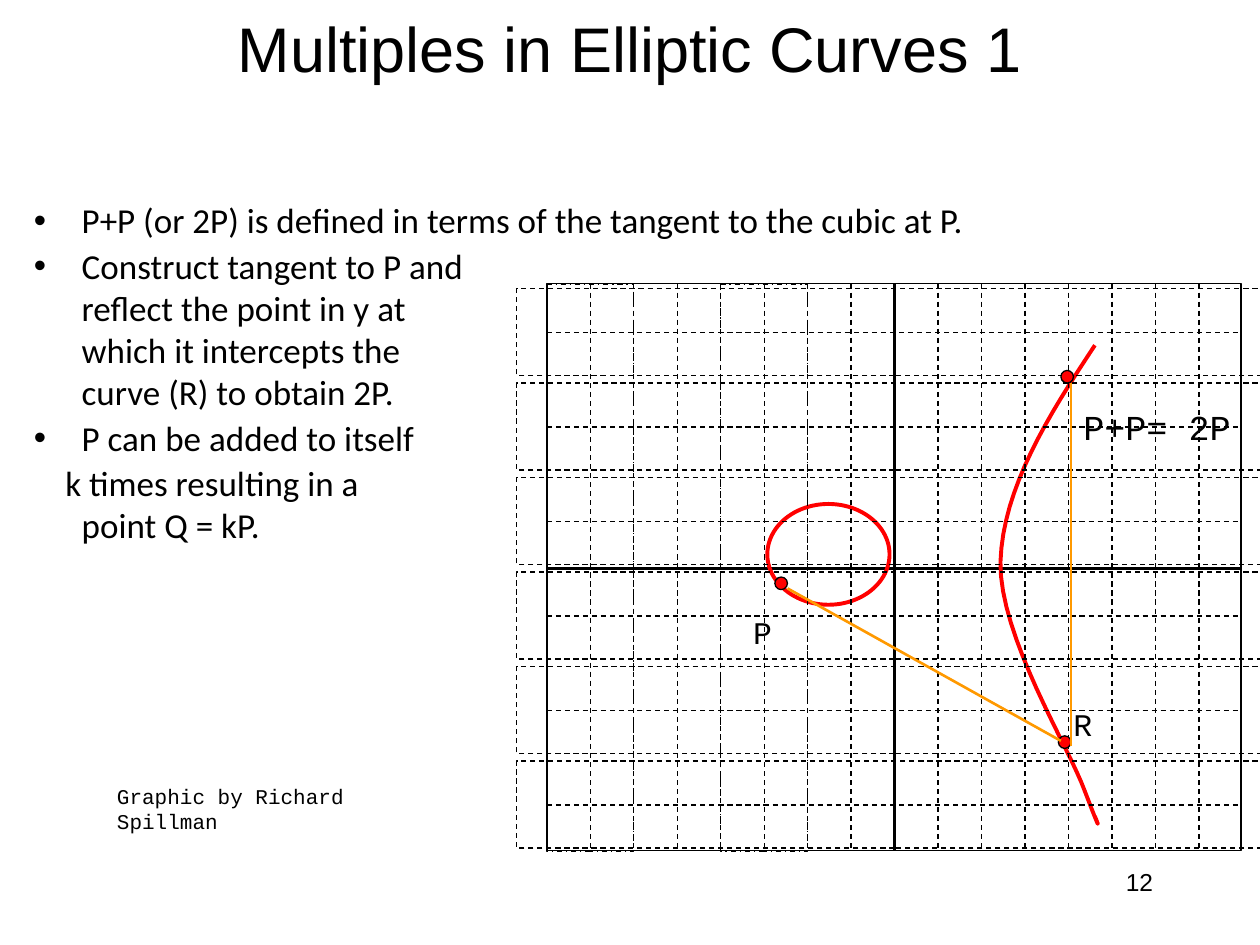
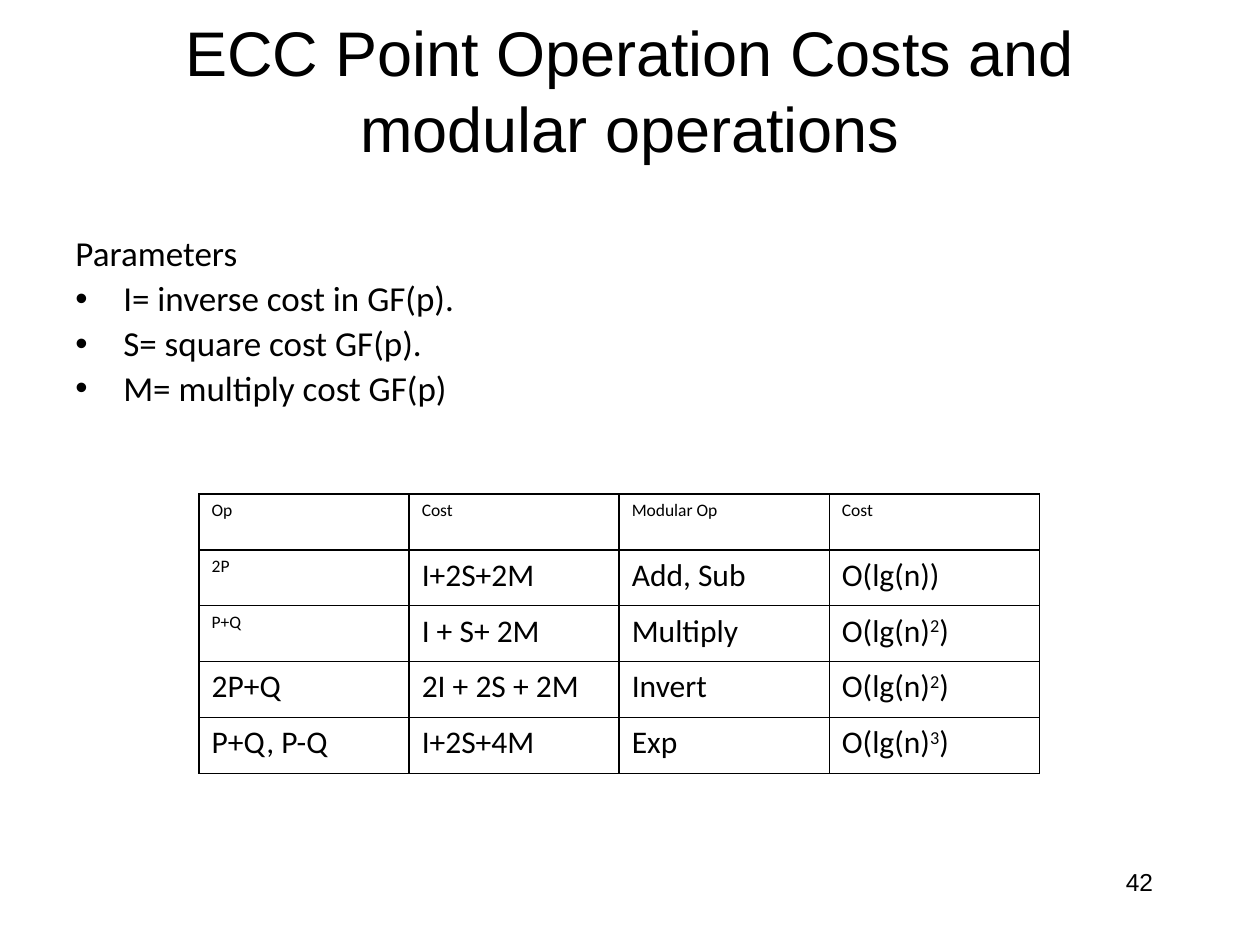
"""Build two slides on elliptic curve point doubling and operation costs."""
from dataclasses import dataclass

from lxml.etree import SubElement
from pptx import Presentation
from pptx.dml.color import RGBColor
from pptx.enum.dml import MSO_LINE
from pptx.enum.shapes import MSO_CONNECTOR, MSO_SHAPE
from pptx.enum.text import MSO_ANCHOR, PP_ALIGN
from pptx.oxml.ns import qn
from pptx.util import Inches, Pt


@dataclass(frozen=True)
class Theme:
    black: RGBColor = RGBColor(0, 0, 0)
    white: RGBColor = RGBColor(255, 255, 255)
    red: RGBColor = RGBColor(255, 0, 0)
    orange: RGBColor = RGBColor(255, 153, 0)
    heading: str = "Arial"
    body: str = "Calibri"
    label: str = "Courier New"
    title_size: int = 36
    body_size: int = 20
    cell_size: int = 18
    number_size: int = 14
    credit_size: int = 12
    small_size: int = 10


theme = Theme()


def write(frame, text, font=theme.body, size=theme.body_size, align=PP_ALIGN.LEFT,
          margin=0, indent=0, bullet=False, before=0, spacing=None):
    """Append a paragraph; a caret raises the next character."""
    frame.word_wrap = True
    first = not frame.paragraphs[0].runs
    para = frame.paragraphs[0] if first else frame.add_paragraph()
    para.alignment = align
    para.line_spacing = spacing
    para.space_before = Pt(0 if first else before)
    properties = para._p.get_or_add_pPr()
    properties.set("marL", str(Inches(margin)))
    properties.set("indent", str(Inches(indent)))
    if bullet:
        SubElement(properties, qn("a:buFont")).set("typeface", theme.heading)
        SubElement(properties, qn("a:buChar")).set("char", "•")
    else:
        SubElement(properties, qn("a:buNone"))
    for row, line in enumerate(text.split("\n")):
        if row:
            para.add_line_break()
        plain, *raised = line.split("^")
        pieces = [(plain, False)]
        for part in raised:
            pieces += [(part[0], True), (part[1:], False)]
        for piece, is_raised in pieces:
            span = para.add_run()
            span.text = piece
            span.font.name = font
            span.font.size = Pt(size)
            span.font.color.rgb = theme.black
            if is_raised:
                span._r.get_or_add_rPr().set("baseline", "30000")


def outline(shape, color=theme.black, width=0.75, dash=None, fill=None):
    """Set the line and fill of a shape or connector and remove its shadow."""
    shape.line.color.rgb = color
    shape.line.width = Pt(width)
    if dash:
        shape.line.dash_style = dash
    if fill is not None:
        shape.fill.solid()
        shape.fill.fore_color.rgb = fill
    elif hasattr(shape, "fill"):
        shape.fill.background()
    SubElement(shape._element.spPr, qn("a:effectLst"))


deck = Presentation()
deck.slide_width, deck.slide_height = Inches(10), Inches(7.5)

pages = []
for title, number, top, height in [
    ("Multiples in Elliptic Curves 1", "12", 0, 0.75),
    ("ECC Point Operation Costs and modular operations", "42", 0.25, 0.92),
]:
    page = deck.slides.add_slide(deck.slide_layouts[6])
    number_box = page.shapes.add_textbox(Inches(7.17), Inches(6.83), Inches(2.08), Inches(0.5))
    write(number_box.text_frame, number, font=theme.heading, size=theme.number_size,
          align=PP_ALIGN.RIGHT)
    title_box = page.shapes.add_textbox(Inches(0.75), Inches(top), Inches(8.5), Inches(height))
    title_box.text_frame.vertical_anchor = MSO_ANCHOR.MIDDLE
    write(title_box.text_frame, title, font=theme.heading, size=theme.title_size,
          align=PP_ALIGN.CENTER)
    pages.append(page)
curve_page, cost_page = pages

body_box = curve_page.shapes.add_textbox(Inches(0.17), Inches(1.53), Inches(8.58), Inches(4.22))
for text, bullet, indent in [
    ("P+P (or 2P) is defined in terms of the tangent to the cubic at P.", True, -0.38),
    ("Construct tangent to P and\nreflect the point in y at\nwhich it intercepts the\n"
     "curve (R) to obtain 2P.", True, -0.38),
    ("P can be added to itself", True, -0.38),
    ("k times resulting in a\npoint Q = kP.", False, -0.13),
]:
    write(body_box.text_frame, text, margin=0.38, indent=indent, bullet=bullet, before=2)

shapes = curve_page.shapes
left, top, right, bottom = 4.34, 2.25, 9.85, 6.75
column, row_step = 0.69, 0.75
plot = shapes.add_shape(MSO_SHAPE.RECTANGLE, Inches(left), Inches(top),
                        Inches(right - left), Inches(bottom - top))
outline(plot, width=1, fill=theme.white)
for axis in [(7.1, top, 7.1, bottom), (left, 4.51, right, 4.51)]:
    axis_line = shapes.add_connector(MSO_CONNECTOR.STRAIGHT, *map(Inches, axis))
    outline(axis_line, width=1.5)

oval = shapes.add_shape(MSO_SHAPE.OVAL, Inches(6.09), Inches(4), Inches(0.97), Inches(0.8))
outline(oval, color=theme.red, width=2.25)
bends = [
    [(8.69, 2.74), (8.32, 3.3), (7.96, 3.87), (7.94, 4.46)],
    [(7.94, 4.46), (7.93, 5.05), (8.49, 5.94), (8.61, 6.28)],
    [(8.61, 6.28), (8.74, 6.62), (8.72, 6.55), (8.69, 6.48)],
]
steps = 16
curve_points = []
for bend in bends:
    for step in range(1, steps + 1):
        t = step / steps
        weights = ((1 - t) ** 3, 3 * t * (1 - t) ** 2, 3 * t * t * (1 - t), t ** 3)
        curve_points.append(tuple(
            Inches(sum(weight * point[side] for weight, point in zip(weights, bend)))
            for side in (0, 1)))
builder = shapes.build_freeform(*map(Inches, bends[0][0]))
builder.add_line_segments(curve_points, close=False)
outline(builder.convert_to_shape(), color=theme.red, width=2.25)

bands = [(left + column * pair, 2.26, column, 4.5, MSO_LINE.DASH_DOT) for pair in (0, 2)]
bands += [(4.1, 2.29 + row_step * row, 6, 0.69, MSO_LINE.DASH) for row in range(6)]
for *place, dash in bands:
    band = shapes.add_shape(MSO_SHAPE.RECTANGLE, *map(Inches, place))
    outline(band, dash=dash)
grid = [(left + column * half / 2, top, left + column * half / 2, bottom)
        for half in range(1, 16) if half != 8]
grid += [(left, 2.64 + row_step * row, right, 2.64 + row_step * row) for row in range(6)]
for ends in grid:
    grid_line = shapes.add_connector(MSO_CONNECTOR.STRAIGHT, *map(Inches, ends))
    outline(grid_line, dash=MSO_LINE.DASH)

for dot_left, dot_top in [(6.15, 4.58), (8.42, 2.94), (8.4, 5.84)]:
    dot = shapes.add_shape(MSO_SHAPE.OVAL, Inches(dot_left), Inches(dot_top),
                           Inches(0.1), Inches(0.1))
    outline(dot, fill=theme.red)
for ends in [(8.5, 3.04, 8.5, 5.92), (8.42, 5.88, 6.25, 4.67)]:
    construction = shapes.add_connector(MSO_CONNECTOR.STRAIGHT, *map(Inches, ends))
    outline(construction, color=theme.orange, width=1.5)
for text, size, *place in [
    ("P", theme.cell_size, 5.88, 4.82, 0.37, 0.4),
    ("P+P= 2P", theme.body_size, 8.5, 3.17, 1.38, 0.44),
    ("R", theme.cell_size, 8.42, 5.55, 0.38, 0.4),
    ("Graphic by Richard Spillman", theme.credit_size, 0.83, 6.17, 2.31, 0.3),
]:
    label_box = shapes.add_textbox(*map(Inches, place))
    write(label_box.text_frame, text, font=theme.label, size=size)

parameter_box = cost_page.shapes.add_textbox(Inches(0.5), Inches(1.83), Inches(8.75), Inches(1.5))
for position, text in enumerate([
    "Parameters",
    "I= inverse cost in GF(p).",
    "S= square cost GF(p).",
    "M= multiply cost GF(p)",
]):
    write(parameter_box.text_frame, text, margin=0.38, indent=-0.38,
          bullet=position > 0, before=4, spacing=0.9)

costs = [
    ["Op", "Cost", "Modular Op", "Cost"],
    ["2P", "I+2S+2M", "Add, Sub", "O(lg(n))"],
    ["P+Q", "I + S+ 2M", "Multiply", "O(lg(n)^2)"],
    ["2P+Q", "2I + 2S + 2M", "Invert", "O(lg(n)^2)"],
    ["P+Q, P-Q", "I+2S+4M", "Exp", "O(lg(n)^3)"],
]
table = cost_page.shapes.add_table(5, 4, Inches(1.58), Inches(3.92),
                                   Inches(6.67), Inches(2.22)).table
table.first_row = table.horz_banding = False
for row_index, row in enumerate(costs):
    for column_index, text in enumerate(row):
        cell = table.cell(row_index, column_index)
        is_small = row_index == 0 or (column_index == 0 and row_index < 3)
        write(cell.text_frame, text, size=theme.small_size if is_small else theme.cell_size)
        properties = cell._tc.get_or_add_tcPr()
        for side in ("a:lnL", "a:lnR", "a:lnT", "a:lnB"):
            border = SubElement(properties, qn(side), w=str(Pt(1)))
            border_fill = SubElement(border, qn("a:solidFill"))
            SubElement(border_fill, qn("a:srgbClr"), val=str(theme.black))
        cell.fill.solid()
        cell.fill.fore_color.rgb = theme.white

deck.save("out.pptx")
